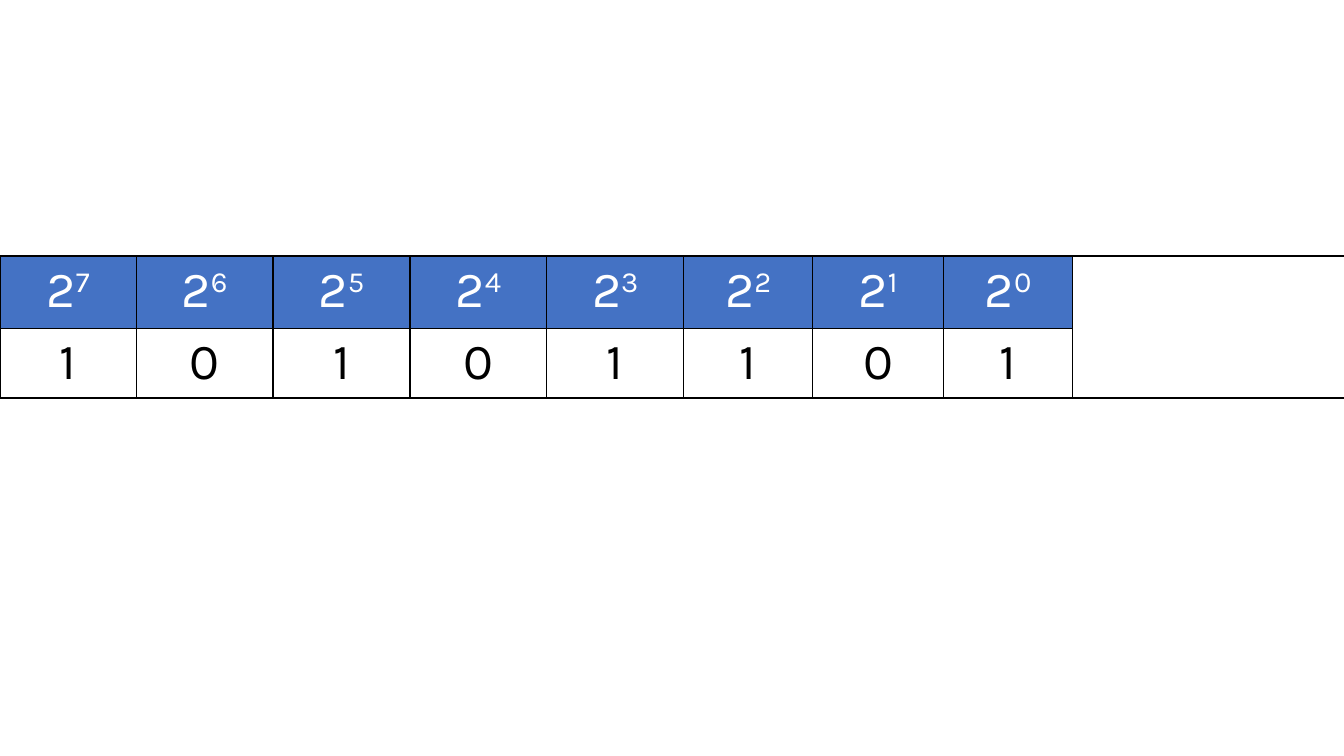
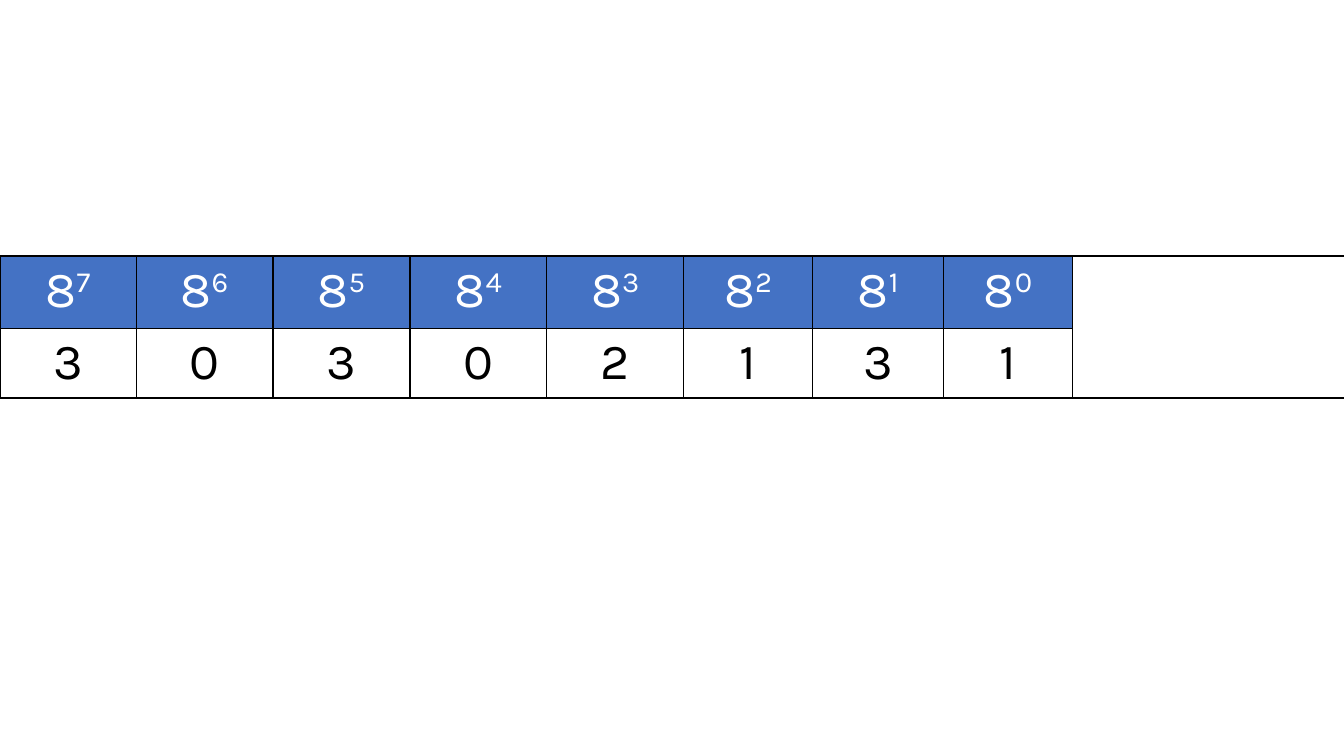
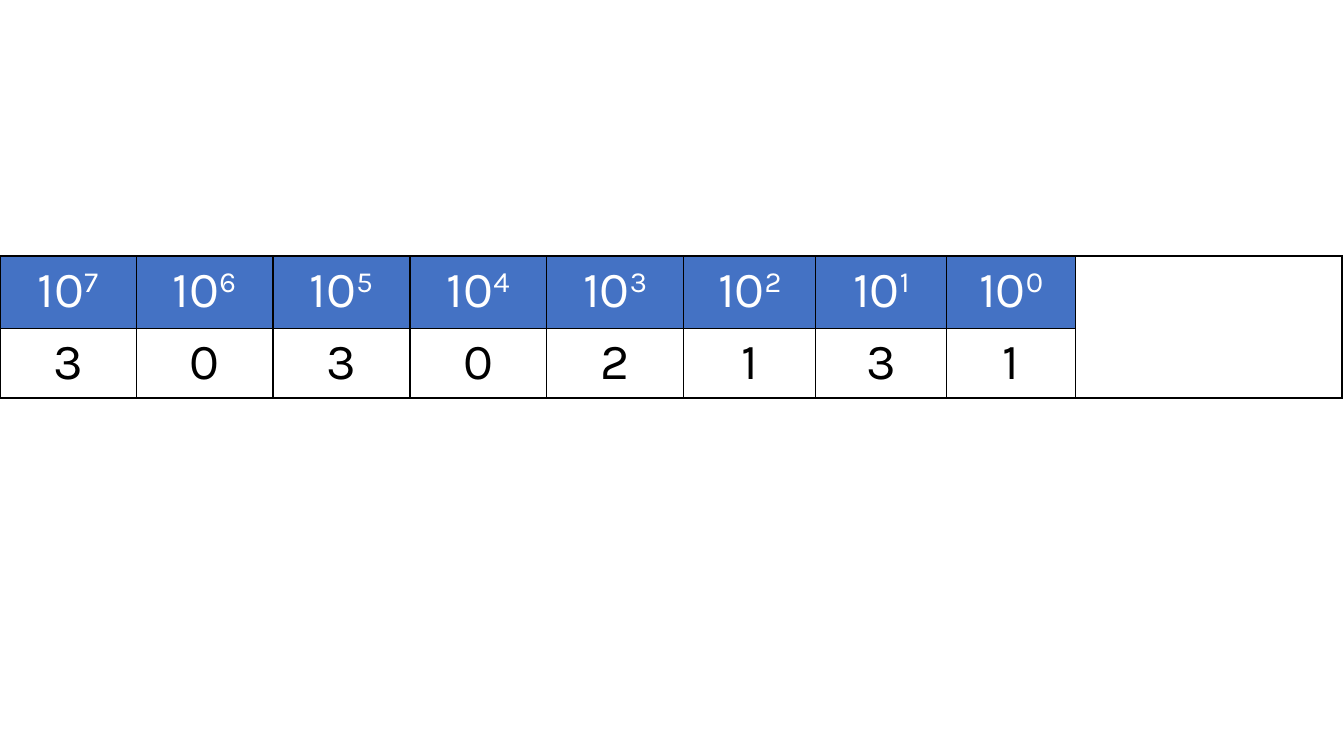
"""Build three slides that show place values in base 2, 8 and 10."""
from lxml import etree
from pptx import Presentation
from pptx.dml.color import RGBColor
from pptx.enum.text import PP_ALIGN
from pptx.oxml.ns import qn
from pptx.util import Cm, Pt

CENTER = PP_ALIGN.CENTER
BLUE = RGBColor(0x44, 0x72, 0xC4)
WHITE = RGBColor(0xFF, 0xFF, 0xFF)
BLACK = RGBColor(0x00, 0x00, 0x00)
FONT = "Karla"
TEXT_SIZE = Pt(36)
BORDER_WIDTH = Pt(1)
SUPERSCRIPT = "30000"

SLIDE_WIDTH = Cm(33.87)
SLIDE_HEIGHT = Cm(19.05)
TABLE_TOP = Cm(6.45)
ROW_HEIGHTS = [Cm(1.82), Cm(1.76)]
FIRST_WIDTHS = [3.43] + [3.45] * 4

NUMBERS = [
    ("2", "10101101", [3.25, 3.3, 3.25, 6.86]),
    ("8", "30302131", [3.25, 3.3, 3.25, 6.86]),
    ("10", "30302131", [3.33, 3.3, 3.25, 6.71]),
]


def add_borders(cell):
    properties = cell._tc.get_or_add_tcPr()
    for side in ("a:lnL", "a:lnR", "a:lnT", "a:lnB"):
        line = etree.SubElement(properties, qn(side), w=str(BORDER_WIDTH))
        fill = etree.SubElement(line, qn("a:solidFill"))
        etree.SubElement(fill, qn("a:srgbClr"), val=str(BLACK))


def write_cell(cell, text, exponent, text_color, fill_color):
    cell.fill.solid()
    cell.fill.fore_color.rgb = fill_color
    para = cell.text_frame.paragraphs[0]
    para.alignment = CENTER
    para.font.name = FONT
    para.font.size = TEXT_SIZE
    para.font.color.rgb = text_color
    para.add_run().text = text
    if exponent:
        span = para.add_run()
        span.text = exponent
        span._r.get_or_add_rPr().set("baseline", SUPERSCRIPT)


deck = Presentation()
deck.slide_width = SLIDE_WIDTH
deck.slide_height = SLIDE_HEIGHT
blank_layout = deck.slide_layouts[6]

for base, digits, last_widths in NUMBERS:
    page = deck.slides.add_slide(blank_layout)
    widths = [Cm(width) for width in FIRST_WIDTHS + last_widths]
    table = page.shapes.add_table(
        len(ROW_HEIGHTS), len(widths), 0, TABLE_TOP, sum(widths), sum(ROW_HEIGHTS)
    ).table
    table.first_row = False
    table.horz_banding = False
    for column, width in zip(table.columns, widths):
        column.width = width
    for row, height in zip(table.rows, ROW_HEIGHTS):
        row.height = height
    for cell in table.iter_cells():
        add_borders(cell)

    for index, digit in enumerate(digits):
        exponent = str(len(digits) - 1 - index)
        write_cell(table.cell(0, index), base, exponent, WHITE, BLUE)
        write_cell(table.cell(1, index), digit, "", BLACK, WHITE)

    blank_column = len(digits)
    for row_index in range(len(ROW_HEIGHTS)):
        table.cell(row_index, blank_column).fill.background()
    table.cell(0, blank_column).merge(table.cell(1, blank_column))

deck.save("out.pptx")
